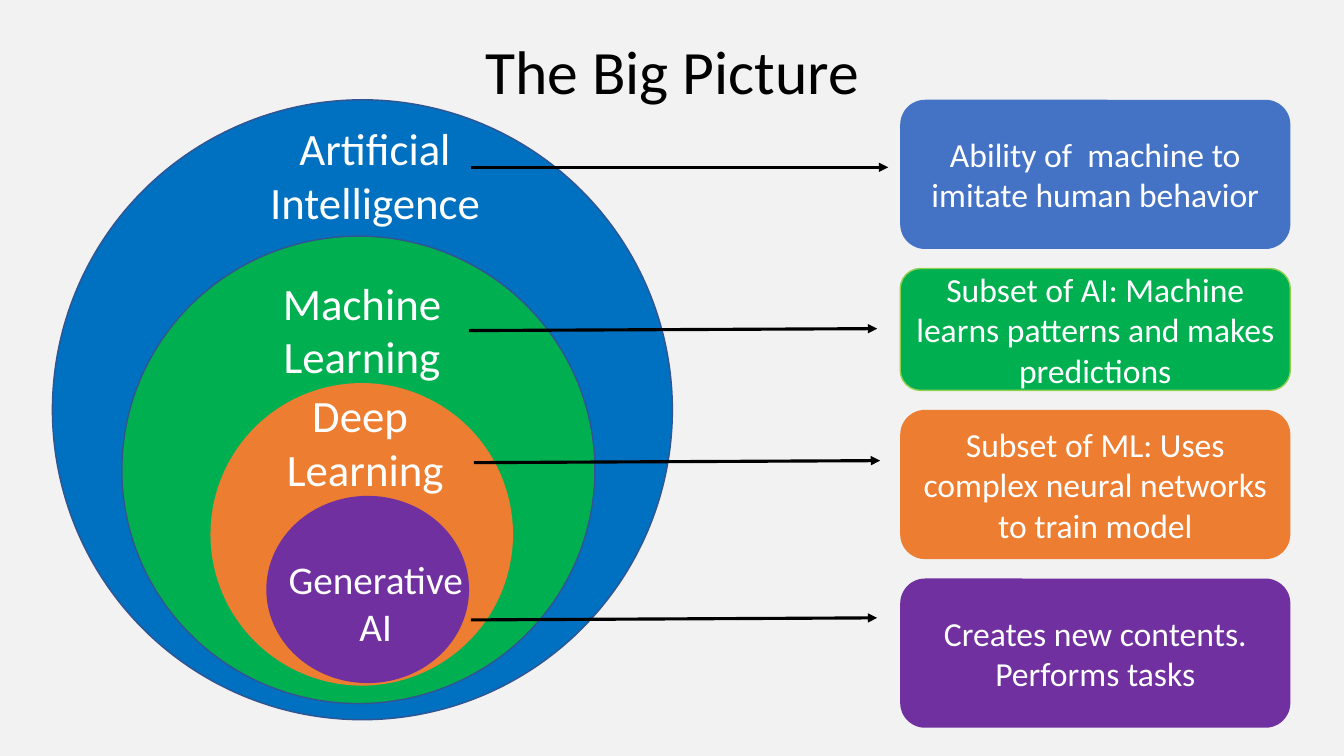
from lxml.etree import SubElement
from pptx import Presentation
from pptx.dml.color import RGBColor
from pptx.enum.shapes import MSO_CONNECTOR, MSO_SHAPE
from pptx.enum.text import MSO_ANCHOR, PP_ALIGN
from pptx.oxml.ns import qn
from pptx.util import Inches, Pt

SLIDE = (0, 0, Inches(13.33), Inches(7.5))
FONT = "Calibri"
BLUE, GREEN, ORANGE, PURPLE = "0070C0", "00B050", "ED7D31", "7030A0"
WHITE, BLACK, OUTLINE = "FFFFFF", "000000", "325491"

# Every place is left, top, width, height in percent of the enclosing box.
TITLE = (6.9, 0.13, 86.27, 19.33)
DIAGRAM = (3.9, 13.2, 46.13, 82)
CARDS = (66.98, 13.2, 29.03, 83.07)

CIRCLES = [
    ((0, 0, 100, 100), BLUE, OUTLINE),
    ((11.2, 22, 76.3, 75.4), GREEN, OUTLINE),
    ((25.5, 45.7, 48.8, 48.8), ORANGE, None),
    ((34.5, 63.9, 32.7, 30.2), PURPLE, None),
]
LABELS = [
    ((16.7, 2.6, 70.7, 19.2), ["Artificial", "Intelligence"], 32),
    ((14.6, 27.5, 70.7, 19.2), ["Machine", "Learning"], 32),
    ((30.6, 45.7, 39.7, 19.2), ["Deep ", "Learning"], 32),
    ((34, 72.7, 36.3, 16.9), ["Generative AI"], 28),
]
CARD_GAP = 3.1
CARD_ROWS = [
    (23.76, "4472C4", None, "Ability of  machine to imitate human behavior"),
    (19.42, GREEN, "92D050",
     "Subset of AI: Machine learns patterns and makes predictions"),
    (23.76, ORANGE, None,
     "Subset of ML: Uses complex neural networks to train model"),
    (23.76, PURPLE, None, "Creates new contents. Performs tasks"),
]
# Start x, start y, end x, end y
ARROWS = [
    (35.03, 22.13, 66.09, 22.13),
    (34.88, 43.73, 65.27, 43.47),
    (35.26, 61.2, 65.49, 60.93),
    (35.03, 82, 65.27, 81.73),
]


def rgb(value):
    return RGBColor.from_string(value)


def within(box, share):
    """Turn percentages of a box into a left, top, width, height."""
    left, top, width, height = box
    x, y, w, h = (n / 100 for n in share)
    return (int(left + x * width), int(top + y * height),
            int(w * width), int(h * height))


def write(tf, lines, size, color=WHITE):
    tf.word_wrap = True
    for i, line in enumerate(lines):
        p = tf.paragraphs[0] if i == 0 else tf.add_paragraph()
        p.alignment = PP_ALIGN.CENTER
        r = p.add_run()
        r.text = line
        r.font.name, r.font.size = FONT, Pt(size)
        r.font.color.rgb = rgb(color)


def add_filled(s, kind, box, fill, line):
    sp = s.shapes.add_shape(kind, *box)
    sp.shadow.inherit = False
    sp.fill.solid()
    sp.fill.fore_color.rgb = rgb(fill)
    if line:
        sp.line.color.rgb = rgb(line)
        sp.line.width = Pt(1)
    else:
        sp.line.fill.background()
    return sp


def add_title(s, box):
    sp = s.shapes.title
    sp.left, sp.top, sp.width, sp.height = box
    tf = sp.text_frame
    tf.vertical_anchor = MSO_ANCHOR.MIDDLE
    write(tf, ["The Big Picture"], 44, BLACK)
    tf.paragraphs[0].line_spacing = 0.9


def add_diagram(s, box):
    for share, fill, line in CIRCLES:
        add_filled(s, MSO_SHAPE.OVAL, within(box, share), fill, line)
    for share, lines, size in LABELS:
        sp = s.shapes.add_textbox(*within(box, share))
        write(sp.text_frame, lines, size)


def add_cards(s, box):
    top = 0
    for height, fill, line, text in CARD_ROWS:
        sp = add_filled(s, MSO_SHAPE.ROUNDED_RECTANGLE,
                        within(box, (0, top, 100, height)), fill, line)
        sp.text_frame.vertical_anchor = MSO_ANCHOR.MIDDLE
        write(sp.text_frame, [text], 24)
        top += height + CARD_GAP


def add_arrows(s, box):
    for x1, y1, x2, y2 in ARROWS:
        start = within(box, (x1, y1, 0, 0))[:2]
        end = within(box, (x2, y2, 0, 0))[:2]
        c = s.shapes.add_connector(MSO_CONNECTOR.STRAIGHT, *start, *end)
        c.line.color.rgb = rgb(BLACK)
        c.line.width = Pt(2.25)
        SubElement(c.line._get_or_add_ln(), qn("a:tailEnd"), type="triangle")
        SubElement(c._element.spPr, qn("a:effectLst"))


def main():
    prs = Presentation()
    prs.slide_width, prs.slide_height = SLIDE[2:]
    s = prs.slides.add_slide(prs.slide_layouts[5])
    s.background.fill.solid()
    s.background.fill.fore_color.rgb = rgb("F2F2F2")
    add_title(s, within(SLIDE, TITLE))
    add_diagram(s, within(SLIDE, DIAGRAM))
    add_cards(s, within(SLIDE, CARDS))
    add_arrows(s, SLIDE)
    prs.save("out.pptx")


if __name__ == "__main__":
    main()
